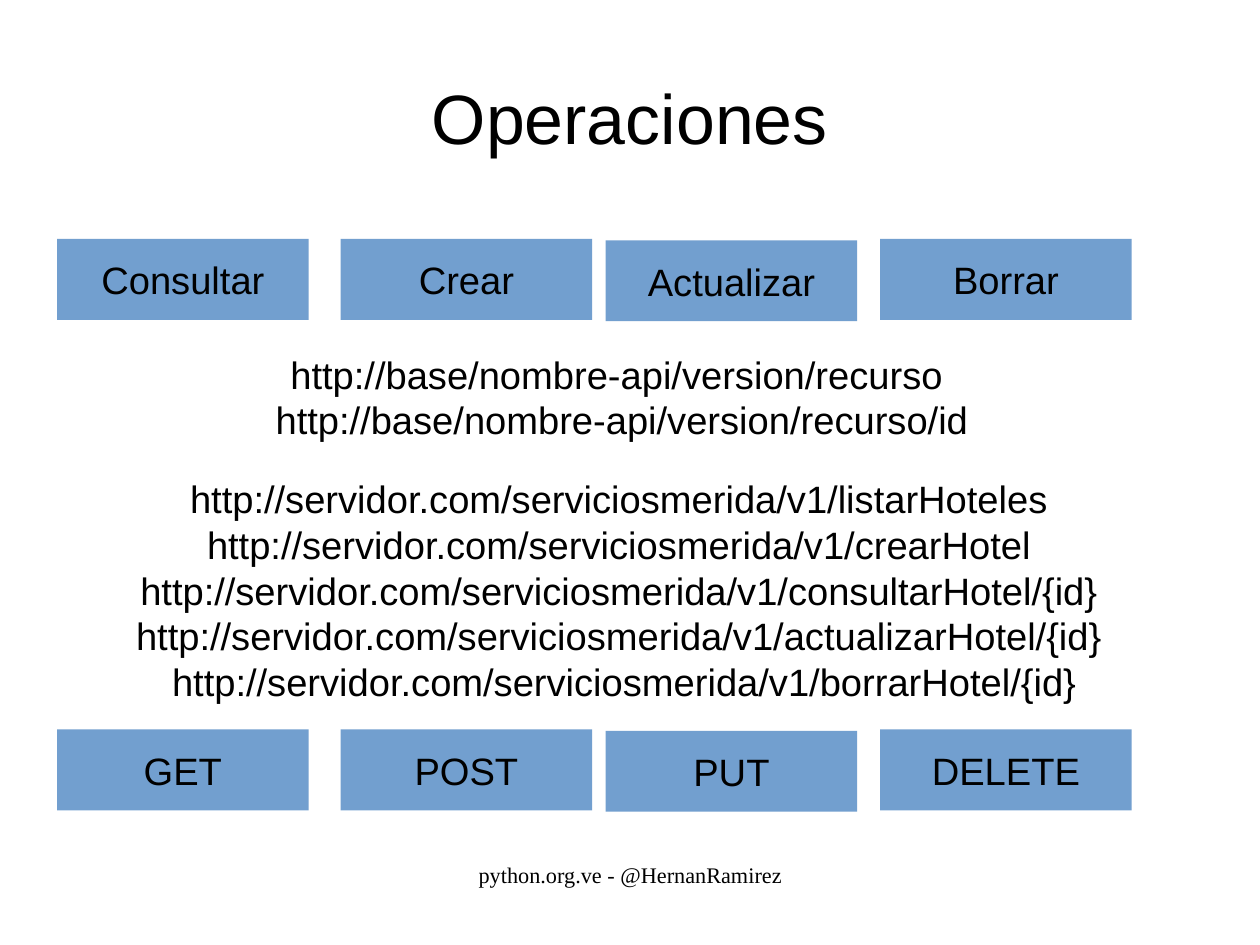
from pptx import Presentation
from pptx.dml.color import RGBColor
from pptx.enum.shapes import MSO_SHAPE
from pptx.enum.text import MSO_ANCHOR, MSO_AUTO_SIZE, PP_ALIGN
from pptx.util import Cm, Pt

BLACK = RGBColor(0x00, 0x00, 0x00)
BLUE = RGBColor(0x72, 0x9F, 0xCF)

BASE_ADDRESSES = [
    "http://base/nombre-api/version/recurso",
    "http://base/nombre-api/version/recurso/id",
]
SERVICE = "http://servidor.com/serviciosmerida/v1/"
SERVICE_CALLS = [
    "listarHoteles",
    "crearHotel",
    "consultarHotel/{id}",
    "actualizarHotel/{id}",
    "borrarHotel/{id}",
]
COLUMNS = [(1.27, 0), (7.57, 0), (13.46, 0.03), (19.56, 0)]
ROWS = [
    (5.31, ["Consultar", "Crear", "Actualizar", "Borrar"]),
    (16.21, ["GET", "POST", "PUT", "DELETE"]),
]


class SlideBuilder:
    font_name = "Arial"
    text_size = 24

    def __init__(self, slide):
        self.slide = slide

    def set_text(self, shape, text, size, font_name=font_name, anchor=MSO_ANCHOR.MIDDLE):
        text_frame = shape.text_frame
        text_frame.word_wrap = True
        text_frame.auto_size = MSO_AUTO_SIZE.NONE
        text_frame.vertical_anchor = anchor
        text_frame.margin_left = text_frame.margin_right = 0
        text_frame.margin_top = text_frame.margin_bottom = 0
        paragraph = text_frame.paragraphs[0]
        paragraph.text = text
        paragraph.alignment = PP_ALIGN.CENTER
        for run in paragraph.runs:
            run.font.name = font_name
            run.font.size = Pt(size)
            run.font.color.rgb = BLACK

    def title(self, text, left, top, width, height):
        shape = self.slide.shapes.title
        shape.left, shape.top = Cm(left), Cm(top)
        shape.width, shape.height = Cm(width), Cm(height)
        self.set_text(shape, text, 44)

    def addresses(self, lines, left, top, width, height):
        shape = self.slide.shapes.add_textbox(Cm(left), Cm(top), Cm(width), Cm(height))
        self.set_text(shape, " \n".join(lines), self.text_size)

    def box(self, text, left, top):
        shape = self.slide.shapes.add_shape(
            MSO_SHAPE.RECTANGLE, Cm(left), Cm(top), Cm(5.59), Cm(1.8)
        )
        shape.shadow.inherit = False
        shape.fill.solid()
        shape.fill.fore_color.rgb = BLUE
        shape.line.fill.background()
        self.set_text(shape, text, self.text_size)

    def footer(self, text, left, top, width, height):
        shape = self.slide.shapes.add_textbox(Cm(left), Cm(top), Cm(width), Cm(height))
        self.set_text(shape, text, 14, "Times New Roman", MSO_ANCHOR.TOP)


def main():
    presentation = Presentation()
    presentation.slide_width = Cm(28)
    presentation.slide_height = Cm(21)
    builder = SlideBuilder(presentation.slides.add_slide(presentation.slide_layouts[5]))

    builder.title("Operaciones", 1.4, 0.84, 25.2, 3.5)
    builder.addresses(BASE_ADDRESSES, 1.22, 7.87, 25.2, 1.9)
    builder.addresses([SERVICE + call for call in SERVICE_CALLS], 1.27, 10.72, 25.2, 4.78)
    for top, labels in ROWS:
        for label, (left, drop) in zip(labels, COLUMNS):
            builder.box(label, left, top + drop)
    builder.footer("python.org.ve - @HernanRamirez", 9.58, 19.13, 8.86, 1.45)

    presentation.save("out.pptx")


if __name__ == "__main__":
    main()
